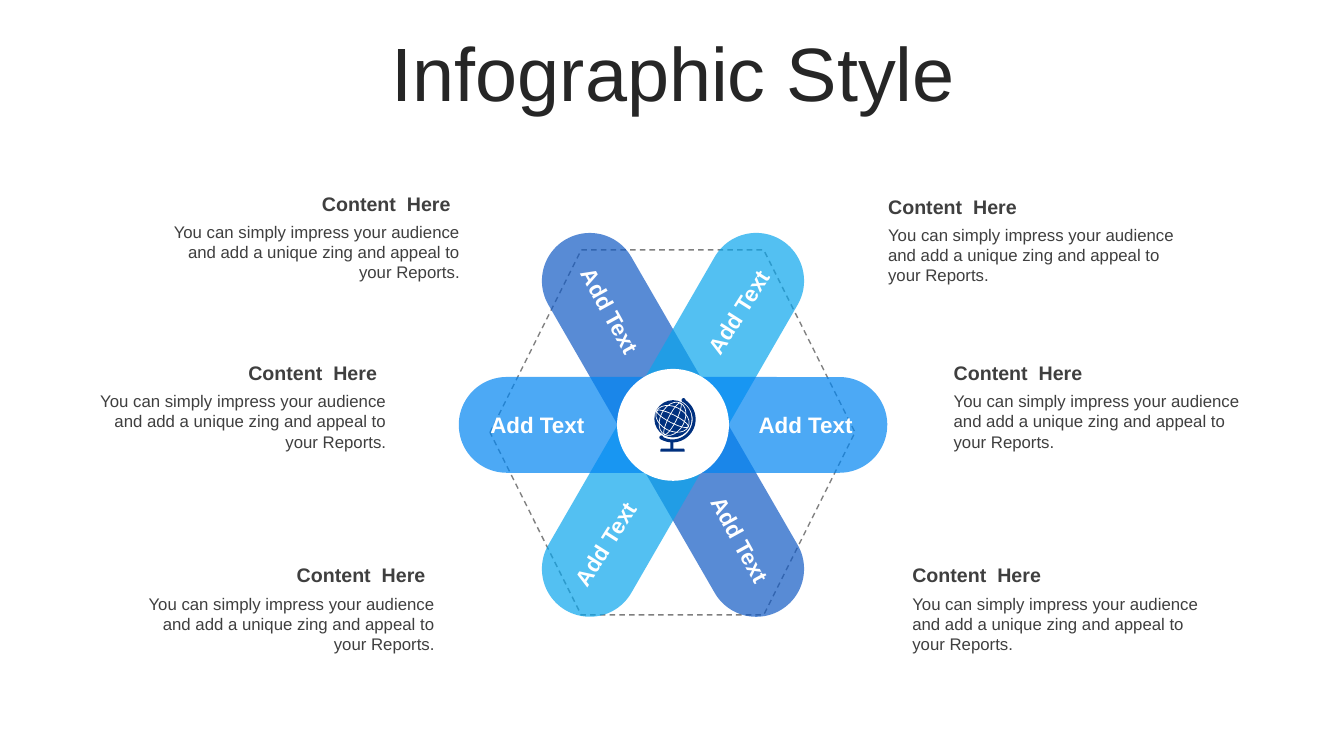
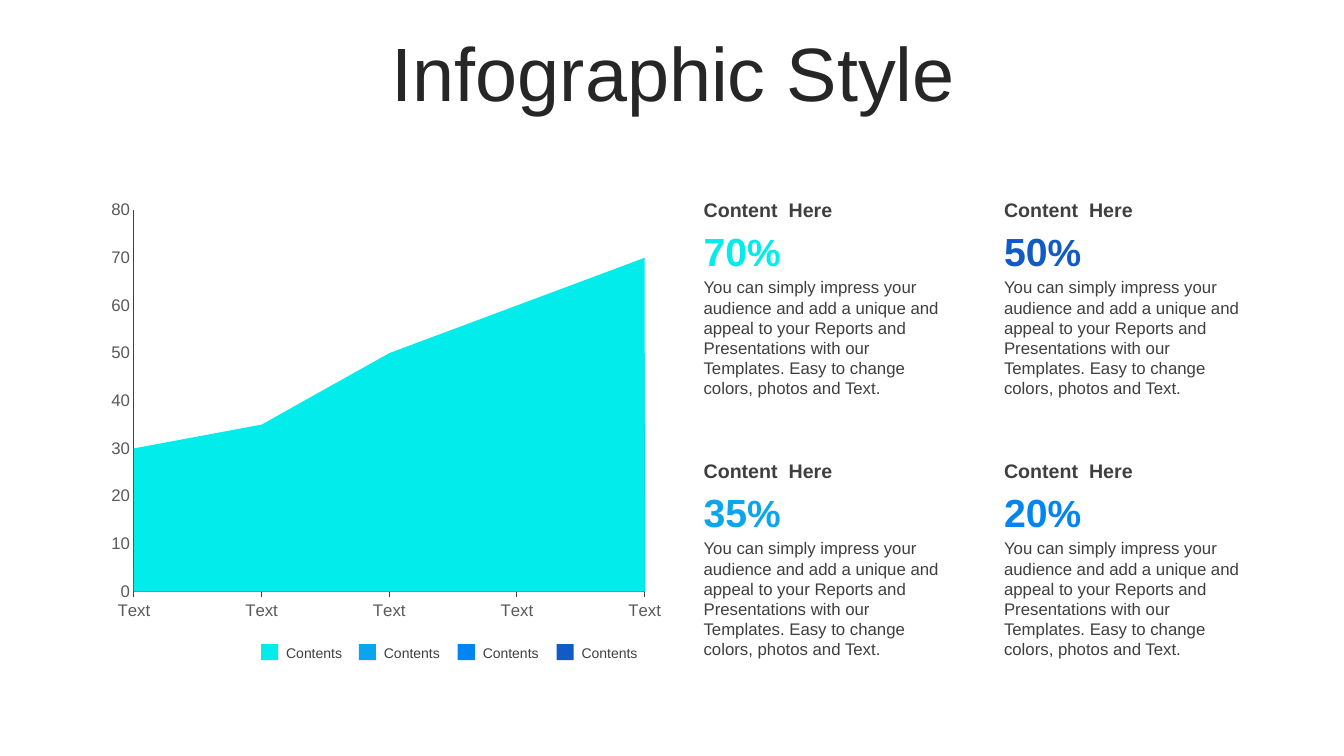
"""Build two infographic slides: a six-petal diagram and an area chart."""
from dataclasses import dataclass
from math import cos, radians, sin

from lxml import etree
from pptx import Presentation
from pptx.chart.data import CategoryChartData
from pptx.dml.color import RGBColor
from pptx.enum.chart import XL_CHART_TYPE, XL_TICK_MARK
from pptx.enum.dml import MSO_LINE
from pptx.enum.shapes import MSO_SHAPE
from pptx.enum.text import MSO_ANCHOR, MSO_AUTO_SIZE, PP_ALIGN
from pptx.oxml.ns import qn
from pptx.util import Emu, Pt

AREA = XL_CHART_TYPE.AREA
TICK_NONE, TICK_OUT = XL_TICK_MARK.NONE, XL_TICK_MARK.OUTSIDE
DASH = MSO_LINE.DASH
HEXAGON, OVAL, RECT = MSO_SHAPE.HEXAGON, MSO_SHAPE.OVAL, MSO_SHAPE.RECTANGLE
PILL, DOME = MSO_SHAPE.ROUNDED_RECTANGLE, MSO_SHAPE.ROUND_2_SAME_RECTANGLE
TOP, MIDDLE = MSO_ANCHOR.TOP, MSO_ANCHOR.MIDDLE
LEFT, CENTER, RIGHT = PP_ALIGN.LEFT, PP_ALIGN.CENTER, PP_ALIGN.RIGHT
FIXED = MSO_AUTO_SIZE.NONE

PX = 9144
FONT = "Arial"
COLORS = {
    "title": "262626", "text": "3F3F3F", "white": "FFFFFF", "outline": "7F7F7F",
    "axis": "404040", "axis_text": "595959", "globe": "00307E",
    "cyan": "02ECEC", "sky": "0AA6ED", "azure": "0085F2", "navy": "125AC4",
}
TITLE = "Infographic Style"
HEADING = "Content  Here"
PETAL_NOTE = ("You can simply impress your audience and add a unique zing "
              "and appeal to your Reports.")
SHARE_NOTE = ("You can simply impress your audience and add a unique and appeal to your "
              "Reports and Presentations with our Templates. Easy to change colors, "
              "photos and Text.")


@dataclass(frozen=True)
class Box:
    """Position and size in px."""
    left: int
    top: int
    width: int
    height: int

    def emu(self) -> tuple:
        """Return the box in EMU."""
        return tuple(Emu(v * PX) for v in (self.left, self.top, self.width, self.height))


@dataclass(frozen=True)
class Petal:
    """One long pill crossing the centre of the diagram."""
    rotation: int
    color: str


@dataclass(frozen=True)
class PetalLabel:
    """A label lying along half a petal."""
    left: int
    top: int
    rotation: float


@dataclass(frozen=True)
class Note:
    """A heading with a paragraph beside the diagram."""
    left: int
    top: int
    align: PP_ALIGN


@dataclass(frozen=True)
class Share:
    """A percentage with its explanation."""
    column: int
    row: int
    number: str
    color: str


@dataclass(frozen=True)
class Series:
    """One area of the chart."""
    name: str
    values: tuple
    color: str


PETALS = (Petal(330, "navy"), Petal(30, "sky"), Petal(90, "azure"))
PETAL_LABELS = (
    PetalLabel(528, 290, 61.2), PetalLabel(657, 517, 61.2),
    PetalLabel(655, 291, 302.3), PetalLabel(523, 521, 302.3),
    PetalLabel(722, 403, 0), PetalLabel(456, 403, 0),
)
NOTES = (
    Note(871, 188, LEFT), Note(936, 353, LEFT), Note(895, 554, LEFT),
    Note(161, 185, RIGHT), Note(88, 353, RIGHT), Note(136, 554, RIGHT),
)
SHARES = (
    Share(0, 0, "70", "cyan"), Share(1, 0, "50", "navy"),
    Share(0, 1, "35", "sky"), Share(1, 1, "20", "azure"),
)
SERIES = (
    Series("Series 1", (5, 10, 20, 25, 20), "cyan"),
    Series("Series 2", (30, 35, 50, 60, 70), "cyan"),
    Series("Series 3", (30, 25, 35, 40, 50), "sky"),
    Series("Series 4", (10, 15, 25, 30, 35), "azure"),
    Series("Series 5", (5, 10, 20, 25, 20), "navy"),
)


def rgb(color: str) -> RGBColor:
    """Look up a named colour."""
    return RGBColor.from_string(COLORS[color])


def format_font(font, size: float, color: str, bold: bool = False) -> None:
    """Apply the shared typeface with a size and colour."""
    font.name, font.size, font.bold = FONT, Pt(size), bold
    font.color.rgb = rgb(color)


def write(frame, text: str, *, size: float, color: str = "text", bold: bool = False,
          align: PP_ALIGN = LEFT, anchor: MSO_ANCHOR = TOP, spacing: float = 1.0,
          suffix: str = "") -> None:
    """Fill a text frame with one formatted paragraph and an optional smaller suffix."""
    frame.word_wrap, frame.auto_size, frame.vertical_anchor = True, FIXED, anchor
    paragraph = frame.paragraphs[0]
    paragraph.alignment, paragraph.line_spacing = align, spacing
    for part, part_size in ((text, size), (suffix, size - 1)):
        if part:
            run = paragraph.add_run()
            run.text = part
            format_font(run.font, part_size, color, bold)


def add_text(slide, box: Box, text: str, *, rotation: float = 0, **text_format) -> None:
    """Add a text box, rotated if asked."""
    label = slide.shapes.add_textbox(*box.emu())
    label.rotation = rotation
    write(label.text_frame, text, **text_format)


def paint(shape, fill: str = "", line: str = "", weight: float = 1, alpha: int = 100) -> None:
    """Set fill, outline and opacity, and drop the shadow."""
    shape.shadow.inherit = False
    if fill:
        shape.fill.solid()
        shape.fill.fore_color.rgb = rgb(fill)
        if alpha < 100:
            tone = shape.fill._xPr.find(qn("a:solidFill"))[0]
            etree.SubElement(tone, qn("a:alpha")).set("val", str(alpha * 1000))
    else:
        shape.fill.background()
    if line:
        shape.line.color.rgb = rgb(line)
        shape.line.width = Pt(weight)
    else:
        shape.line.fill.background()


def add_figure(slide, kind: MSO_SHAPE, box: Box, *, rotation: float = 0,
               adjust: tuple = (), **style):
    """Add a painted preset shape."""
    figure = slide.shapes.add_shape(kind, *box.emu())
    figure.rotation = rotation
    for index, value in enumerate(adjust):
        figure.adjustments[index] = value
    paint(figure, **style)
    return figure


def add_titled_slide(deck):
    """Add a slide with the shared title."""
    slide = deck.slides.add_slide(deck.slide_layouts[5])
    title = slide.shapes.title
    title.left, title.top, title.width, title.height = Box(35, 37, 1266, 79).emu()
    write(title.text_frame, TITLE, size=54, color="title", align=CENTER,
          anchor=MIDDLE, spacing=0.9)
    return slide


def add_globe(slide) -> None:
    """Draw a desk globe with its grid, bracket and foot."""
    center_x, center_y = 667, 416
    add_figure(slide, OVAL, Box(649, 397, 37, 37), fill="globe")
    for tilt in (27, 117):
        for width in (8, 24):
            add_figure(slide, OVAL, Box(center_x - width // 2, 398, width, 35),
                       rotation=tilt, line="white", weight=0.5)
    sweep = range(-60, 121, 6)
    edge = [(23, angle) for angle in sweep] + [(20, angle) for angle in reversed(sweep)]
    points = [((center_x + radius * cos(radians(angle))) * PX,
               (center_y + radius * sin(radians(angle))) * PX) for radius, angle in edge]
    builder = slide.shapes.build_freeform(*points[0], scale=1.0)
    builder.add_line_segments(points[1:], close=True)
    paint(builder.convert_to_shape(), fill="globe")
    for knob in (Box(676, 395, 4, 4), Box(654, 432, 4, 4)):
        add_figure(slide, OVAL, knob, fill="globe")
    add_figure(slide, RECT, Box(665, 438, 3, 8), fill="globe")
    add_figure(slide, DOME, Box(655, 445, 24, 3), adjust=(0.5, 0), fill="globe")


def add_note(slide, note: Note) -> None:
    """Add a heading and paragraph beside the diagram."""
    heading_width, body_width = (296, 305) if note.align == RIGHT else (309, 309)
    add_text(slide, Box(note.left, note.top, heading_width, 34), HEADING,
             size=14, bold=True, align=note.align)
    add_text(slide, Box(note.left, note.top + 30, body_width, 71), PETAL_NOTE,
             size=12, align=note.align)


def build_petal_slide(deck) -> None:
    """Build the six-petal diagram."""
    slide = add_titled_slide(deck)
    hexagon = add_figure(slide, HEXAGON, Box(486, 248, 362, 362),
                         adjust=(0.25, 1.155), line="outline")
    hexagon.line.dash_style = DASH
    for petal in PETALS:
        add_figure(slide, PILL, Box(620, 209, 95, 425), rotation=petal.rotation,
                   adjust=(0.5,), fill=petal.color, alpha=70)
    add_figure(slide, OVAL, Box(612, 366, 111, 111), fill="white")
    add_globe(slide)
    for label in PETAL_LABELS:
        add_text(slide, Box(label.left, label.top, 154, 37), "Add Text",
                 rotation=label.rotation, size=16, color="white", bold=True, align=CENTER)
    for note in NOTES:
        add_note(slide, note)


def add_share(slide, share: Share) -> None:
    """Add a heading, percentage and paragraph in the two-by-two grid."""
    left, top = 688 + 298 * share.column, 191 + 259 * share.row
    add_text(slide, Box(left, top, 262, 34), HEADING, size=14, bold=True, anchor=MIDDLE)
    add_text(slide, Box(left, top + 79, 261, 131), SHARE_NOTE, size=12)
    add_text(slide, Box(left, top + 29, 261, 57), share.number, suffix="%", size=28,
             color=share.color, bold=True, anchor=MIDDLE)


def add_area_chart(slide) -> None:
    """Add the area chart with plain axes."""
    data = CategoryChartData()
    data.categories = ["Text"] * 5
    for series in SERIES:
        data.add_series(series.name, series.values)
    chart = slide.shapes.add_chart(AREA, *Box(99, 191, 568, 432).emu(), data).chart
    chart.has_legend = chart.has_title = False
    chart.font.name, chart.font.size = FONT, Pt(10)
    chart.plots[0].vary_by_categories = False
    for area, series in zip(chart.plots[0].series, SERIES):
        area.format.fill.solid()
        area.format.fill.fore_color.rgb = rgb(series.color)
        area.format.line.fill.background()
    for axis, tick in ((chart.category_axis, TICK_OUT), (chart.value_axis, TICK_NONE)):
        axis.has_major_gridlines = False
        axis.major_tick_mark, axis.minor_tick_mark = tick, TICK_NONE
        axis.format.line.color.rgb = rgb("axis")
        axis.format.line.width = Pt(0.75)
        format_font(axis.tick_labels.font, 12, "axis_text")
    scale = chart.value_axis
    scale.minimum_scale, scale.maximum_scale, scale.major_unit = 0, 80, 10


def build_chart_slide(deck) -> None:
    """Build the chart with its key and four shares."""
    slide = add_titled_slide(deck)
    for index, color in enumerate(("cyan", "sky", "azure", "navy")):
        left = 259 + 293 * index // 3
        add_figure(slide, RECT, Box(left, 639, 17, 16), fill=color)
        add_text(slide, Box(left + 15, 634, 84, 27), "Contents", size=10, anchor=MIDDLE)
    for share in SHARES:
        add_share(slide, share)
    add_area_chart(slide)


def main() -> None:
    """Create and save the deck."""
    deck = Presentation()
    deck.slide_width, deck.slide_height = Emu(1333 * PX), Emu(750 * PX)
    build_petal_slide(deck)
    build_chart_slide(deck)
    deck.save("out.pptx")


if __name__ == "__main__":
    main()
